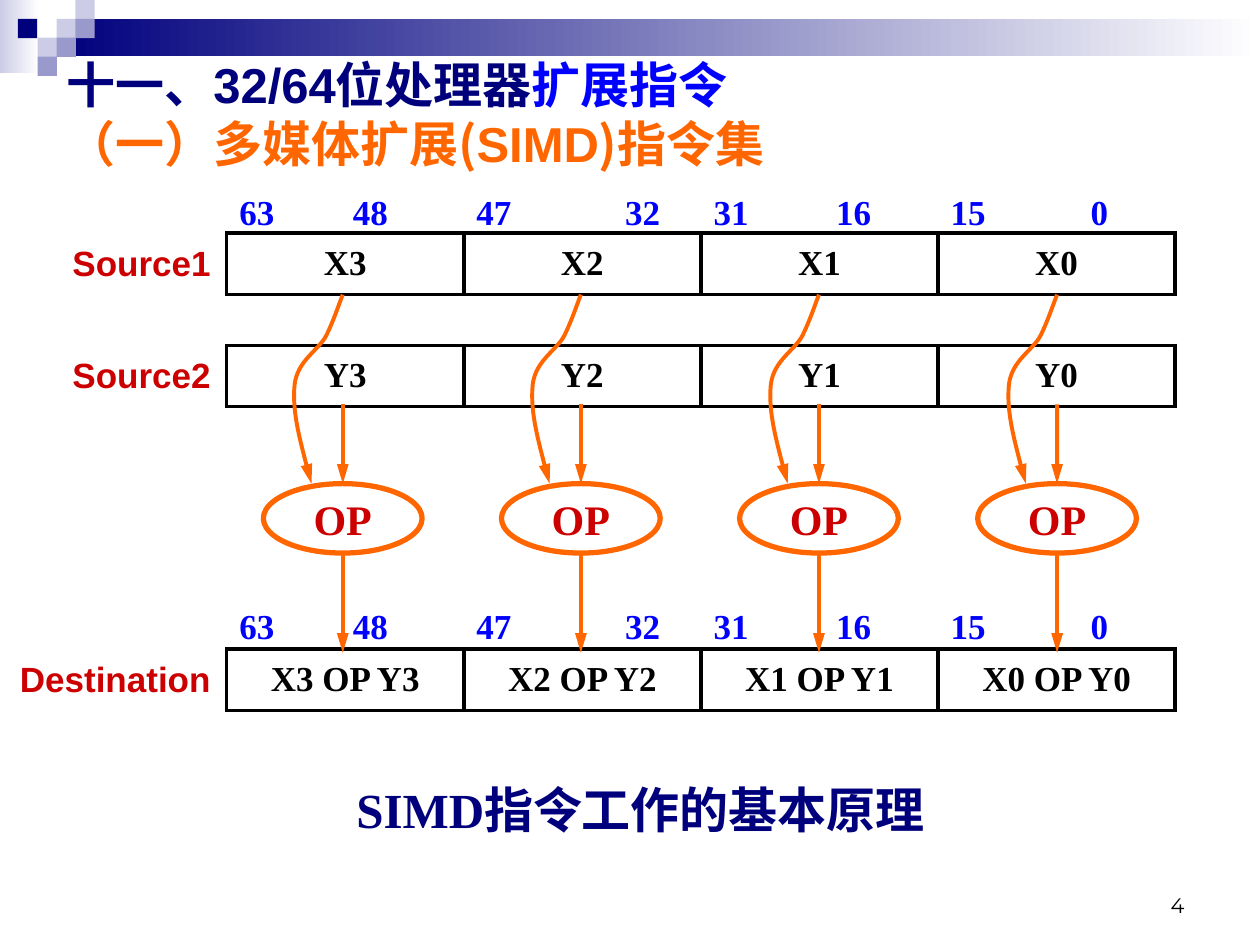
from lxml import etree
from pptx import Presentation
from pptx.dml.color import RGBColor
from pptx.enum.shapes import MSO_CONNECTOR, MSO_SHAPE
from pptx.enum.text import MSO_ANCHOR, MSO_AUTO_SIZE, PP_ALIGN
from pptx.oxml.ns import qn
from pptx.util import Cm, Pt

RECTANGLE, OVAL = MSO_SHAPE.RECTANGLE, MSO_SHAPE.OVAL
STRAIGHT = MSO_CONNECTOR.STRAIGHT
TOP, MIDDLE, BOTTOM = MSO_ANCHOR.TOP, MSO_ANCHOR.MIDDLE, MSO_ANCHOR.BOTTOM
LEFT, CENTER, RIGHT = PP_ALIGN.LEFT, PP_ALIGN.CENTER, PP_ALIGN.RIGHT
NO_AUTOFIT = MSO_AUTO_SIZE.NONE

BLACK = RGBColor(0x00, 0x00, 0x00)
WHITE = RGBColor(0xFF, 0xFF, 0xFF)
NAVY = RGBColor(0x00, 0x00, 0x7D)
BLUE = RGBColor(0x00, 0x00, 0xFF)
ORANGE = RGBColor(0xFF, 0x66, 0x00)
RED = RGBColor(0xCC, 0x00, 0x00)
LAVENDER = RGBColor(0xCC, 0xCC, 0xE6)
PERIWINKLE = RGBColor(0x99, 0x99, 0xCC)

SERIF, SANS, CJK = "Times New Roman", "Arial", "Noto Sans CJK SC"
ROW_LEFT, COLUMN_WIDTH, ROW_HEIGHT = 4.57, 4.78, 1.24


def add_run(paragraph, text, size, font_name, color, bold=True):
    run = paragraph.add_run()
    run.text = text
    run.font.size = Pt(size)
    run.font.name = font_name
    run.font.bold = bold
    run.font.color.rgb = color
    etree.SubElement(run.font._element, qn("a:ea"), typeface=CJK)


def add_register_row(top, texts, alignment, color, bordered, tab_stops=None):
    table = slide.shapes.add_table(
        1, 4, Cm(ROW_LEFT), Cm(top), Cm(4 * COLUMN_WIDTH), Cm(ROW_HEIGHT)
    ).table
    table.first_row = False
    table.horz_banding = False
    for index, text in enumerate(texts):
        table.columns[index].width = Cm(COLUMN_WIDTH)
        cell = table.cell(0, index)
        cell.vertical_anchor = MIDDLE
        properties = cell._tc.get_or_add_tcPr()
        for side in ("a:lnL", "a:lnR", "a:lnT", "a:lnB"):
            border = etree.SubElement(properties, qn(side), w=str(Pt(2.25)))
            if bordered:
                fill = etree.SubElement(border, qn("a:solidFill"))
                etree.SubElement(fill, qn("a:srgbClr"), val=str(color))
            else:
                etree.SubElement(border, qn("a:noFill"))
        cell.fill.background()
        paragraph = cell.text_frame.paragraphs[0]
        paragraph.alignment = alignment
        if tab_stops:
            tab_list = etree.SubElement(paragraph._p.get_or_add_pPr(), qn("a:tabLst"))
            etree.SubElement(tab_list, qn("a:tab"), pos=str(Cm(tab_stops[index])), algn="l")
        add_run(paragraph, text, 20, SERIF, color)


presentation = Presentation()
presentation.slide_width = Cm(25.4)
presentation.slide_height = Cm(19.05)
slide = presentation.slides.add_slide(presentation.slide_layouts[5])

banner = [
    (0, 0, 0.79, 1.47, LAVENDER, True),
    (1.14, 0.38, 24.26, 0.76, NAVY, True),
]
squares = [
    (1.14, 0.38, LAVENDER), (1.52, 0, LAVENDER), (1.52, 0.38, PERIWINKLE),
    (0.76, 0.76, LAVENDER), (0.36, 0.38, NAVY), (1.14, 0.76, PERIWINKLE),
    (0.76, 1.14, PERIWINKLE),
]
banner += [(left, top, 0.39, 0.39, color, False) for left, top, color in squares]
for left, top, width, height, color, fades in banner:
    shape = slide.shapes.add_shape(RECTANGLE, Cm(left), Cm(top), Cm(width), Cm(height))
    shape.shadow.inherit = False
    shape.line.fill.background()
    if fades:
        shape.fill.gradient()
        shape.fill.gradient_angle = 0
        for stop, position, stop_color in zip(shape.fill.gradient_stops, (0, 1), (color, WHITE)):
            stop.position = position
            stop.color.rgb = stop_color
    else:
        shape.fill.solid()
        shape.fill.fore_color.rgb = color

title = slide.shapes.title
title.left, title.top, title.width, title.height = Cm(1.09), Cm(0.99), Cm(23.01), Cm(2.59)
title.text_frame.auto_size = NO_AUTOFIT
title.text_frame.vertical_anchor = MIDDLE
paragraph = title.text_frame.paragraphs[0]
paragraph.alignment = LEFT
add_run(paragraph, "十一、32/64位处理器", 28, SANS, NAVY)
add_run(paragraph, "扩展指令", 28, SANS, BLUE)
paragraph.add_line_break()
for text, font_name in [
    ("（一）多媒体扩展", SANS), ("(", CJK), ("SIMD", SANS), (")", CJK), ("指令集", SANS)
]:
    add_run(paragraph, text, 28, font_name, ORANGE)

register_rows = [
    (4.7, ["X3", "X2", "X1", "X0"]),
    (6.96, ["Y3", "Y2", "Y1", "Y0"]),
    (13.08, ["X3 OP Y3", "X2 OP Y2", "X1 OP Y1", "X0 OP Y0"]),
]
for top, texts in register_rows:
    add_register_row(top, texts, CENTER, BLACK, True)

bit_labels = ["63\t48", "47\t32", "31\t16", "15\t0"]
for top in (3.68, 12.04):
    add_register_row(top, bit_labels, LEFT, BLUE, False, [2.29, 3, 2.47, 2.82])

text_boxes = [
    (0.69, 4.75, 3.81, 1.09, "Source1", 20, SANS, RED, True, RIGHT, TOP),
    (0.69, 7, 3.81, 1.09, "Source2", 20, SANS, RED, True, RIGHT, TOP),
    (0, 13.13, 4.5, 1.09, "Destination", 20, SANS, RED, True, RIGHT, TOP),
    (5.11, 15.72, 15.6, 1.4, "SIMD指令工作的基本原理", 28, SERIF, NAVY, True, CENTER, TOP),
    (18.21, 17.35, 5.92, 1.27, "4", 12, "Montserrat", BLACK, False, RIGHT, BOTTOM),
]
for left, top, width, height, text, size, font_name, color, bold, alignment, anchor in text_boxes:
    text_frame = slide.shapes.add_textbox(Cm(left), Cm(top), Cm(width), Cm(height)).text_frame
    text_frame.word_wrap = True
    text_frame.vertical_anchor = anchor
    paragraph = text_frame.paragraphs[0]
    paragraph.alignment = alignment
    if size == 28:
        paragraph.line_spacing = 0.9
    add_run(paragraph, text, size, font_name, color, bold)

curve_points = [
    (0, 5.94), (-0.1, 6.2), (-0.18, 6.45), (-0.33, 6.76), (-0.48, 7.06),
    (-0.91, 7.26), (-0.97, 7.75), (-1.02, 8.26), (-0.84, 8.99), (-0.63, 9.75),
]
for index in range(4):
    center = 6.91 + 4.8 * index
    operator = slide.shapes.add_shape(OVAL, Cm(center - 1.6), Cm(9.75), Cm(3.2), Cm(1.4))
    operator.shadow.inherit = False
    operator.fill.background()
    operator.line.color.rgb = ORANGE
    operator.line.width = Pt(3)
    operator.text_frame.word_wrap = False
    operator.text_frame.vertical_anchor = MIDDLE
    paragraph = operator.text_frame.paragraphs[0]
    paragraph.alignment = CENTER
    add_run(paragraph, "OP", 24, SERIF, RED)

    points = [(Cm(center + offset), Cm(y)) for offset, y in curve_points]
    builder = slide.shapes.build_freeform(*points[0])
    builder.add_line_segments(points[1:], close=False)
    curve = builder.convert_to_shape()
    curve.fill.background()
    segments = list(curve.element.iter(qn("a:lnTo")))
    for start in range(0, len(segments), 3):
        bezier = etree.SubElement(segments[start].getparent(), qn("a:cubicBezTo"))
        for segment in segments[start:start + 3]:
            bezier.append(segment[0])
            segment.getparent().remove(segment)

    arrow_in, arrow_out = [
        slide.shapes.add_connector(STRAIGHT, Cm(center), Cm(start), Cm(center), Cm(end))
        for start, end in ((8.15, 9.75), (11.15, 13.16))
    ]
    arrow_in.end_connect(operator, 0)
    for arrow in (curve, arrow_in, arrow_out):
        arrow.line.color.rgb = ORANGE
        arrow.line.width = Pt(2.25)
        properties = arrow.element.spPr
        etree.SubElement(properties.find(qn("a:ln")), qn("a:tailEnd"), type="triangle", len="lg")
        etree.SubElement(properties, qn("a:effectLst"))

presentation.save("out.pptx")
